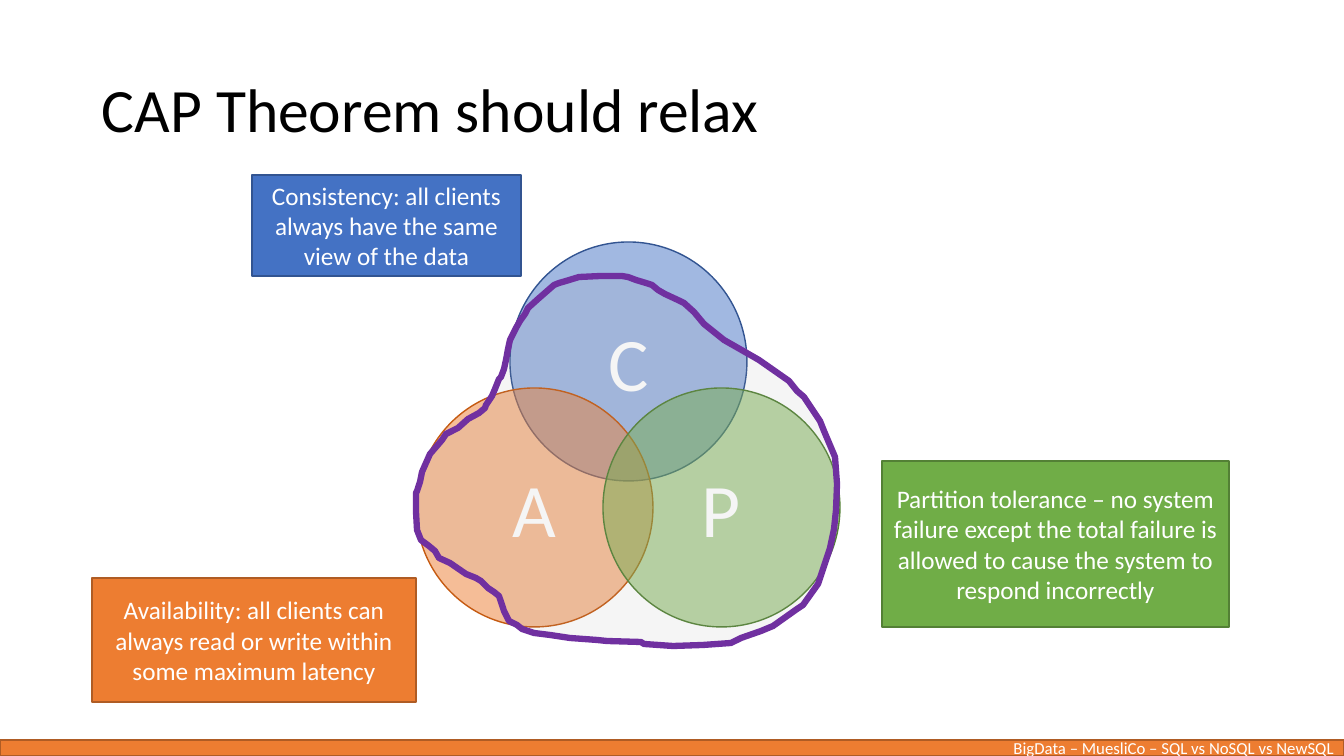
import pptx
import pptx.util
import pptx.dml.color
import pptx.enum.shapes
import pptx.enum.text
import pptx.oxml.ns
from lxml import etree

PX = 12192000 / 1344
COLORS = {
    "black": "000000", "white": "FFFFFF", "gray": "A5A5A5", "purple": "7030A0",
    "blue": "4472C4", "blue_edge": "325491",
    "orange": "ED7D31", "orange_edge": "AF5C24", "orange_rim": "C55A11",
    "green": "70AD47", "green_edge": "538035", "green_rim": "548235",
}
ALIGN = pptx.enum.text.PP_ALIGN
SHAPE = pptx.enum.shapes.MSO_SHAPE

# Hand-drawn loop around the circles, in px
RELAXED_OUTLINE = [
    (680, 301), (665, 294), (658, 290), (652, 285), (646, 283), (636, 280),
    (628, 277), (622, 276), (600, 276), (579, 277), (566, 281), (559, 283),
    (554, 285), (546, 292), (538, 299), (528, 308), (525, 314), (520, 321),
    (516, 328), (510, 340), (508, 349), (506, 360), (504, 369), (501, 377),
    (499, 379), (495, 389), (492, 396), (486, 405), (485, 408), (479, 413),
    (468, 419), (458, 428), (446, 434), (442, 440), (430, 454), (426, 463),
    (422, 472), (420, 482), (417, 491), (416, 493), (416, 512), (417, 530),
    (421, 540), (429, 546), (435, 551), (439, 558), (450, 563), (466, 574),
    (476, 578), (481, 581), (488, 588), (494, 592), (499, 596), (502, 605),
    (504, 611), (509, 621), (517, 625), (522, 629), (534, 633), (550, 635),
    (570, 638), (597, 640), (607, 641), (641, 642), (644, 644), (673, 646),
    (703, 645), (731, 643), (741, 638), (761, 631), (773, 626), (797, 609),
    (803, 605), (818, 584), (827, 557), (830, 548), (834, 529), (836, 510),
    (837, 484), (835, 457), (824, 431), (820, 421), (804, 397), (797, 391),
    (789, 381), (759, 360), (752, 356), (724, 340), (704, 324), (694, 312),
    (684, 303),
]


class SlideBuilder:
    font = "Calibri"

    def __init__(self, slide):
        self.slide = slide

    def box(self, left, top, width, height):
        return [round(length * PX) for length in (left, top, width, height)]

    def color(self, name):
        return pptx.dml.color.RGBColor.from_string(COLORS[name])

    def paint(self, shape, fill, edge, edge_width=1, opacity=100):
        shape.shadow.inherit = False
        shape.fill.solid()
        shape.fill.fore_color.rgb = self.color(fill)
        if opacity < 100:
            tint = shape.element.spPr.find(".//" + pptx.oxml.ns.qn("a:srgbClr"))
            alpha = etree.SubElement(tint, pptx.oxml.ns.qn("a:alpha"))
            alpha.set("val", str(opacity * 1000))
        shape.line.color.rgb = self.color(edge)
        shape.line.width = pptx.util.Pt(edge_width)

    def label(self, shape, words, size, color="white", align=ALIGN.CENTER):
        frame = shape.text_frame
        frame.word_wrap = True
        frame.vertical_anchor = pptx.enum.text.MSO_ANCHOR.MIDDLE
        frame.text = words
        paragraph = frame.paragraphs[0]
        paragraph.alignment = align
        font = paragraph.runs[0].font
        font.name = self.font
        font.size = pptx.util.Pt(size)
        font.color.rgb = self.color(color)
        return paragraph

    def title(self, words, *place):
        heading = self.slide.shapes.add_textbox(*self.box(*place))
        self.label(heading, words, 44, "black", ALIGN.LEFT).line_spacing = 0.9

    def panel(self, words, place, fill, edge, size=18, align=ALIGN.CENTER):
        panel = self.slide.shapes.add_shape(SHAPE.RECTANGLE, *self.box(*place))
        self.paint(panel, fill, edge)
        self.label(panel, words, size, align=align)

    def circle(self, letter, left, top, fill, edge):
        circle = self.slide.shapes.add_shape(
            SHAPE.OVAL, *self.box(left, top, 237, 239))
        self.paint(circle, fill, edge, opacity=50)
        self.label(circle, letter, 54)

    def loop(self, points, fill, edge):
        builder = self.slide.shapes.build_freeform(*points[0], scale=PX)
        builder.add_line_segments(points[1:], close=True)
        self.paint(builder.convert_to_shape(), fill, edge, 4.5, opacity=11)


def main():
    deck = pptx.Presentation()
    deck.slide_width = round(1344 * PX)
    deck.slide_height = round(756 * PX)
    cap = SlideBuilder(deck.slides.add_slide(deck.slide_layouts[6]))

    cap.title("CAP Theorem should relax", 92, 40, 1159, 146)
    cap.panel("BigData – MuesliCo – SQL vs NoSQL vs NewSQL", (0, 740, 1344, 16),
              "orange", "orange_edge", 12, ALIGN.RIGHT)

    cap.circle("C", 510, 242, "blue", "blue_edge")
    cap.circle("A", 416, 388, "orange", "orange_rim")
    cap.circle("P", 603, 388, "green", "green_rim")

    cap.panel("Consistency: all clients always have the same view of the data",
              (252, 175, 269, 101), "blue", "blue_edge")
    cap.panel("Availability: all clients can always read or write within "
              "some maximum latency",
              (92, 578, 324, 124), "orange", "orange_edge")
    cap.panel("Partition tolerance – no system failure except the total failure "
              "is allowed to cause the system to respond incorrectly",
              (882, 461, 347, 166), "green", "green_edge")

    cap.loop(RELAXED_OUTLINE, "gray", "purple")
    deck.save("out.pptx")


if __name__ == "__main__":
    main()
